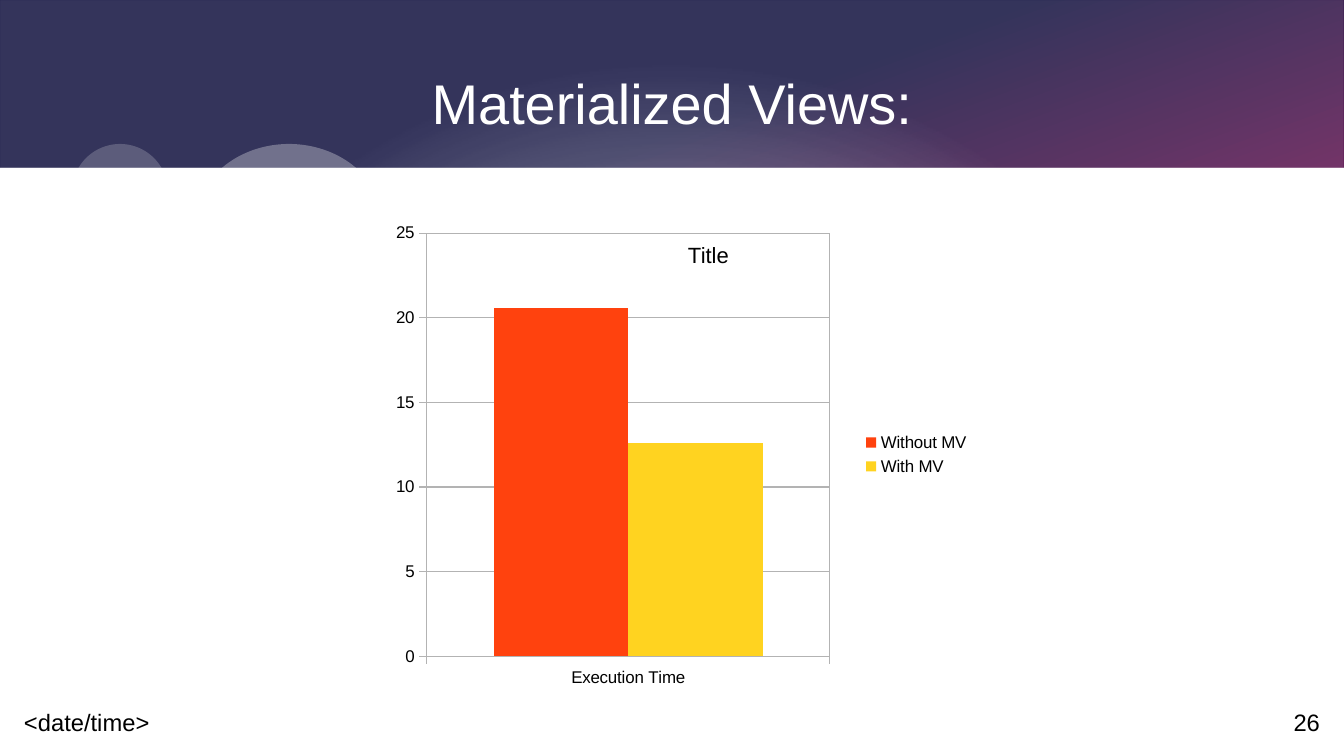
from pptx import Presentation
from pptx.chart.data import CategoryChartData as Data
from pptx.dml.color import RGBColor
from pptx.enum.chart import XL_CHART_TYPE as Kind, XL_LEGEND_POSITION as Side, XL_TICK_MARK as Tick
from pptx.enum.shapes import MSO_SHAPE as Form
from pptx.enum.text import MSO_ANCHOR as Anchor, PP_ALIGN as Align
from pptx.oxml import parse_xml
from pptx.oxml.ns import nsdecls, qn
from pptx.util import Pt

PX = 914400 / 122
WIDE, HIGH, BAND = 1344, 756, 168
FONT = "Arial"
WHITE = RGBColor(0xFF, 0xFF, 0xFF)
BLACK = RGBColor(0, 0, 0)
NAVY = RGBColor(0, 0, 0x32)
PINK = RGBColor(0xF6, 0, 0x63)
GRAY = RGBColor(0xB3, 0xB3, 0xB3)
BARS = [
    ("Without MV", 20.6, RGBColor(0xFF, 0x42, 0x0E)),
    ("With MV", 12.6, RGBColor(0xFF, 0xD3, 0x20)),
]


def emu(*vals):
    return [round(v * PX) for v in vals]


def style(font, size, color=BLACK):
    font.name, font.size, font.bold = FONT, Pt(size), False
    font.color.rgb = color


def write(frame, text, size=14, color=BLACK, align=Align.LEFT, anchor=Anchor.BOTTOM, gap=0):
    frame.word_wrap = True
    frame.vertical_anchor = anchor
    frame.margin_left = frame.margin_top = frame.margin_right = frame.margin_bottom = 0
    para = frame.paragraphs[0]
    para.alignment = align
    para.space_before = para.space_after = Pt(gap)
    run = para.add_run()
    run.text = text
    style(run.font, size, color)


def draw(slide, form, box, color=WHITE, alpha=100):
    shape = slide.shapes.add_shape(form, *emu(*box))
    shape.shadow.inherit = False
    shape.line.fill.background()
    shape.fill.solid()
    shape.fill.fore_color.rgb = color
    if alpha < 100:
        tone = shape.fill._xPr.find(".//" + qn("a:srgbClr"))
        tone.append(parse_xml(f'<a:alpha {nsdecls("a")} val="{alpha * 1000}"/>'))
    return shape


def blend(shape, stops, way):
    """Swap the solid fill for a gradient; stops are (percent, color, alpha)."""
    marks = "".join(
        f'<a:gs pos="{pos * 1000}"><a:srgbClr val="{color}">'
        f'<a:alpha val="{alpha * 1000}"/></a:srgbClr></a:gs>'
        for pos, color, alpha in stops)
    fill = parse_xml(
        f'<a:gradFill {nsdecls("a")} rotWithShape="0"><a:gsLst>{marks}</a:gsLst>{way}</a:gradFill>')
    props = shape._element.spPr
    props.replace(props.find(qn("a:solidFill")), fill)


def header(slide, box):
    left, top, wide, high = box
    full = (left, top, wide, HIGH)
    blend(draw(slide, Form.RECTANGLE, full), [(30, NAVY, 100), (100, PINK, 100)],
          f'<a:lin ang="{70 * 60000}" scaled="0"/>')
    blend(draw(slide, Form.RECTANGLE, full), [(0, WHITE, 90), (75, WHITE, 20)],
          '<a:path path="circle"><a:fillToRect l="50000" t="85000" r="50000" b="15000"/></a:path>')
    draw(slide, Form.RECTANGLE, (left, top + high, wide, HIGH - high))
    draw(slide, Form.OVAL, (left + 193, top + 144, 192, 168), alpha=30)
    draw(slide, Form.OVAL, (left + 72, top + 144, 96, 96), alpha=20)
    # Cover the lower part of the circles with the page color
    draw(slide, Form.RECTANGLE, (left, top + high, wide, HIGH - high))

    title = slide.shapes.title
    title.left, title.top, title.width, title.height = emu(left + 72, top + 36, wide - 144, high - 36)
    write(title.text_frame, "Materialized Views:", size=33, color=WHITE,
          align=Align.CENTER, anchor=Anchor.MIDDLE, gap=8.7)
    slide.shapes._spTree.append(title._element)


def footer(slide, box):
    left, top, wide, high = box
    part = 312
    for x, text, align in ((left, "<date/time>", Align.LEFT),
                           (left + wide - part, "26", Align.RIGHT)):
        note = slide.shapes.add_textbox(*emu(x, top, part, high))
        write(note.text_frame, text, align=align)


def place(node, index, **spots):
    """Give a chart part a manual layout, in shares of the chart."""
    for old in node.findall(qn("c:layout")):
        node.remove(old)
    inner = '<c:layoutTarget val="inner"/>' if "w" in spots else ""
    modes = "".join(f'<c:{key}Mode val="edge"/>' for key in "xy")
    sizes = "".join(f'<c:{key} val="{val}"/>' for key, val in spots.items())
    node.insert(index, parse_xml(
        f'<c:layout {nsdecls("c")}><c:manualLayout>{inner}{modes}{sizes}'
        '</c:manualLayout></c:layout>'))


def thin(line):
    line.color.rgb = GRAY
    line.width = Pt(0)


def graph(slide, box):
    data = Data()
    data.categories = ["Execution Time"]
    for name, val, _ in BARS:
        data.add_series(name, [val])
    chart = slide.shapes.add_chart(Kind.COLUMN_CLUSTERED, *emu(*box), data).chart
    style(chart.font, 10)

    plot = chart.plots[0]
    plot.gap_width, plot.overlap, plot.vary_by_categories = 100, 0, False
    for bar, (_, _, color) in zip(plot.series, BARS):
        bar.format.fill.solid()
        bar.format.fill.fore_color.rgb = color

    for axis in (chart.category_axis, chart.value_axis):
        axis.major_tick_mark, axis.minor_tick_mark = Tick.OUTSIDE, Tick.NONE
        style(axis.tick_labels.font, 10)
        thin(axis.format.line)
    scale = chart.value_axis
    scale.minimum_scale, scale.maximum_scale, scale.major_unit = 0, 25, 5
    thin(scale.major_gridlines.format.line)

    chart.has_legend = True
    chart.legend.position = Side.RIGHT
    chart.legend.include_in_layout = False
    style(chart.legend.font, 10)

    chart.has_title = True
    run = chart.chart_title.text_frame.paragraphs[0].add_run()
    run.text = "Title"
    style(run.font, 13)
    head = chart.chart_title._element
    head.find(qn("c:overlay")).set("val", "1")
    place(head, 1, x=0.49, y=0.05)

    area = chart._chartSpace.chart.plotArea
    place(area, 0, x=0.05, y=0.04, w=0.69, h=0.88)
    area.append(parse_xml(
        f'<c:spPr {nsdecls("c", "a")}><a:noFill/><a:ln w="0"><a:solidFill>'
        f'<a:srgbClr val="{GRAY}"/></a:solidFill></a:ln></c:spPr>'))


def main():
    deck = Presentation()
    deck.slide_width, deck.slide_height = emu(WIDE, HIGH)
    slide = deck.slides.add_slide(deck.slide_layouts[5])
    header(slide, (0, 0, WIDE, BAND))
    footer(slide, (24, 684, WIDE - 48, 52))
    graph(slide, (396, 214, 586, 481))
    deck.save("out.pptx")


if __name__ == "__main__":
    main()
